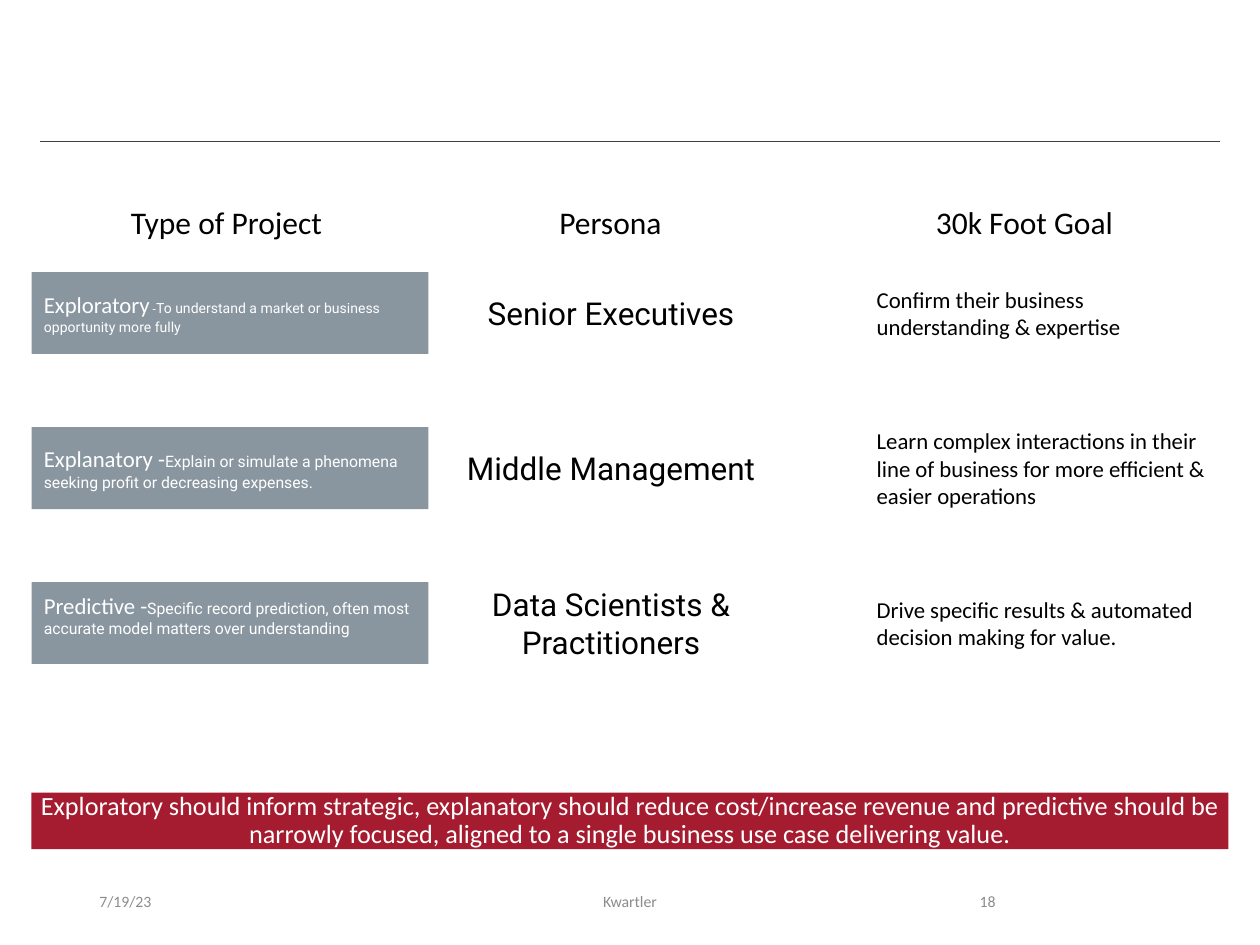
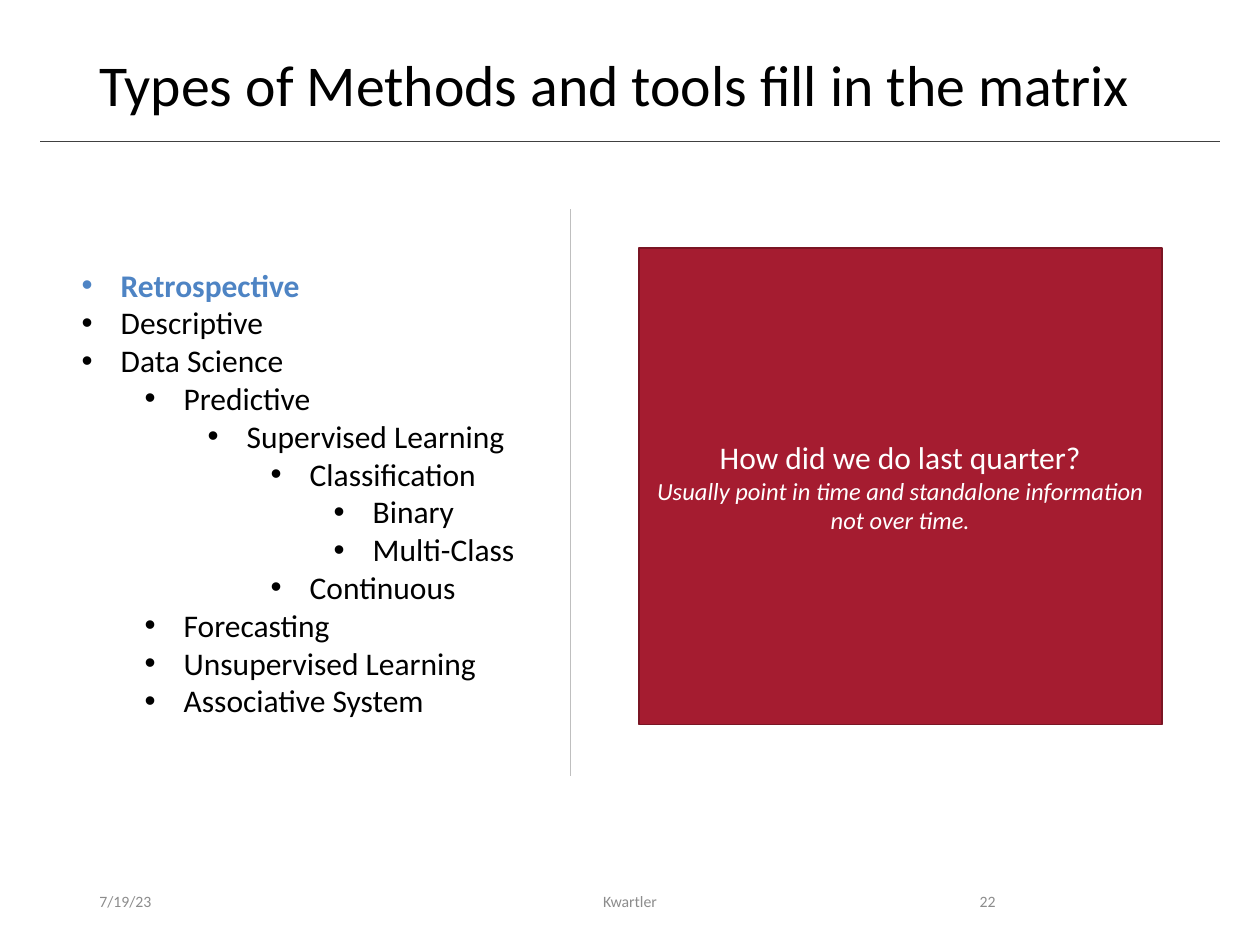
from lxml.etree import SubElement
from pptx import Presentation
from pptx.dml.color import RGBColor
from pptx.enum.shapes import MSO_CONNECTOR, MSO_SHAPE
from pptx.enum.text import MSO_ANCHOR, MSO_AUTO_SIZE, PP_ALIGN
from pptx.oxml.ns import qn
from pptx.util import Inches, Pt

CRIMSON = RGBColor(0xA5, 0x1C, 0x30)
DARK_CRIMSON = RGBColor(0x7A, 0x15, 0x24)
SLATE = RGBColor(0x89, 0x96, 0xA0)
BLUE = RGBColor(0x4E, 0x84, 0xC4)
BLACK = RGBColor(0, 0, 0)
WHITE = RGBColor(0xFF, 0xFF, 0xFF)
RULE_GREY = RGBColor(0x40, 0x40, 0x40)
DIVIDER_GREY = RGBColor(0xBF, 0xBF, 0xBF)
FOOTER_GREY = RGBColor(0x8C, 0x8C, 0x8C)
BODY, ACCENT = "Calibri", "Roboto"
TEXT_INSETS = (0.1, 0.05, 0.1, 0.05)
CELL_INSETS = (0.1, 0.1, 0.1, 0.1)
LEFT, CENTER, RIGHT = PP_ALIGN.LEFT, PP_ALIGN.CENTER, PP_ALIGN.RIGHT
TOP, MIDDLE = MSO_ANCHOR.TOP, MSO_ANCHOR.MIDDLE

HEADINGS = [(0.94, 1.74, "Type of Project"), (4.34, 1.02, "Persona"), (7.33, 1.62, "30k Foot Goal")]
PROJECTS = [
    ([("Exploratory", 13, BODY), (" -", 7, BODY),
      ("To understand a market or business opportunity more fully", 8, ACCENT)],
     "Senior Executives", "Confirm their business understanding & expertise", CELL_INSETS),
    ([("Explanatory -", 13, BODY),
      ("Explain or simulate a phenomena seeking profit or decreasing expenses.", 9, ACCENT)],
     "Middle Management",
     "Learn complex interactions in their line of business for more efficient & easier operations",
     CELL_INSETS),
    ([("Predictive -", 13, BODY),
      ("Specific record prediction, often most accurate model matters over understanding", 9, ACCENT)],
     "Data Scientists & Practitioners",
     "Drive specific results & automated decision making for value.", (0.1, 0.1, 0.1, 0.23)),
]
TAKEAWAY = ("Exploratory should inform strategic, explanatory should reduce cost/increase revenue and "
            "predictive should be narrowly focused, aligned to a single business use case delivering value.")
METHODS = [
    (0, "Retrospective"), (0, "Descriptive"), (0, "Data Science"), (1, "Predictive"),
    (2, "Supervised Learning"), (3, "Classification"), (4, "Binary"), (4, "Multi-Class"),
    (3, "Continuous"), (1, "Forecasting"), (1, "Unsupervised Learning"), (1, "Associative System"),
]


class Deck:
    """Holds the shared style and the page being built."""

    def __init__(self):
        self.deck = Presentation()
        self.deck.slide_width, self.deck.slide_height = Inches(10), Inches(7.5)
        self.page = None

    def add_page(self, number):
        self.page = self.deck.slides.add_slide(self.deck.slide_layouts[6])
        self.line(0.32, 1.12, 9.68, 1.12, RULE_GREY)
        for left, width, words, align in [(0.69, 2.25, "7/19/23", LEFT), (3.31, 3.38, "Kwartler", CENTER),
                                          (7.06, 0.94, number, RIGHT)]:
            self.text((left, 6.95, width, 0.4), words, 9, FOOTER_GREY, align=align, anchor=MIDDLE)

    def line(self, x1, y1, x2, y2, color):
        line = self.page.shapes.add_connector(
            MSO_CONNECTOR.STRAIGHT, Inches(x1), Inches(y1), Inches(x2), Inches(y2))
        line.line.color.rgb = color
        line.line.width = Pt(0.5)
        SubElement(line._element.spPr, qn("a:effectLst"))

    def text(self, place, words, size, color=BLACK, font=BODY, align=LEFT, anchor=TOP,
             insets=TEXT_INSETS, wrap=True, spacing=None):
        box = self.page.shapes.add_textbox(*map(Inches, place))
        self.frame(box, anchor, insets, wrap)
        self.paragraph(box, [(words, size, font)], color, align, spacing)

    def rectangle(self, place, fill, outline=None, insets=TEXT_INSETS):
        box = self.page.shapes.add_shape(MSO_SHAPE.RECTANGLE, *map(Inches, place))
        box.shadow.inherit = False
        box.fill.solid()
        box.fill.fore_color.rgb = fill
        if outline is None:
            box.line.fill.background()
        else:
            box.line.color.rgb = outline
            box.line.width = Pt(1)
        self.frame(box, MIDDLE, insets)
        return box

    def frame(self, box, anchor, insets, wrap=True):
        frame = box.text_frame
        frame.word_wrap = wrap
        frame.auto_size = MSO_AUTO_SIZE.NONE if wrap else MSO_AUTO_SIZE.SHAPE_TO_FIT_TEXT
        frame.vertical_anchor = anchor
        frame.margin_left, frame.margin_top, frame.margin_right, frame.margin_bottom = map(Inches, insets)

    def paragraph(self, box, runs, color, align=LEFT, spacing=None, bold=False, italic=False):
        paras = box.text_frame.paragraphs
        para = box.text_frame.add_paragraph() if paras[-1].runs else paras[0]
        para.alignment = align
        if spacing:
            para.line_spacing = spacing
        for words, size, font in runs:
            span = para.add_run()
            span.text = words
            span.font.size, span.font.name = Pt(size), font
            span.font.color.rgb = color
            span.font.bold, span.font.italic = bold, italic
        return para

    def bullets(self, place, items, current):
        box = self.page.shapes.add_textbox(*map(Inches, place))
        self.frame(box, TOP, TEXT_INSETS, wrap=False)
        for level, words in items:
            chosen = words == current
            para = self.paragraph(box, [(words, 18, BODY)], BLUE if chosen else BLACK, bold=chosen)
            para.level = level
            properties = para._p.get_or_add_pPr()
            properties.set("marL", str(Inches(0.31 + 0.5 * level)))
            properties.set("indent", str(Inches(-0.31)))
            SubElement(properties, qn("a:buFont"), typeface="Arial")
            SubElement(properties, qn("a:buChar"), char="•")


def add_personas(deck):
    deck.add_page("18")
    for left, width, words in HEADINGS:
        deck.text((left, 1.56, width, 0.4), words, 18, wrap=False)
    for row, (project, persona, goal, insets) in enumerate(PROJECTS):
        top = 2.16 + 1.23 * row
        box = deck.rectangle((0.25, top, 3.15, 0.65), SLATE, insets=insets)
        deck.paragraph(box, project, WHITE)
        deck.text((3.43, top, 2.84, 0.65), persona, 18, font=ACCENT, align=CENTER,
                  anchor=MIDDLE, insets=CELL_INSETS)
        deck.text((6.86, top, 2.84, 0.65), goal, 13, anchor=MIDDLE, insets=CELL_INSETS)
    band = deck.rectangle((0.25, 6.29, 9.5, 0.45), CRIMSON, insets=(0.07, 0.04, 0.07, 0.04))
    deck.paragraph(band, [(TAKEAWAY, 15, BODY)], WHITE, CENTER, spacing=0.9)


def add_methods(deck):
    deck.add_page("22")
    deck.text((0.69, 0.4, 8.62, 0.65), "Types of Methods and tools fill in the matrix", 33, spacing=0.9)
    panel = deck.rectangle((5.07, 1.97, 4.15, 3.78), CRIMSON, DARK_CRIMSON)
    deck.paragraph(panel, [("How did we do last quarter?", 18, BODY)], WHITE, CENTER)
    deck.paragraph(panel, [("Usually point in time and standalone information not over time.", 14, BODY)],
                   WHITE, CENTER, italic=True)
    deck.bullets((0.55, 2.06, 3.67, 4.04), METHODS, "Retrospective")
    deck.line(4.53, 1.66, 4.53, 6.16, DIVIDER_GREY)


def main():
    deck = Deck()
    add_personas(deck)
    add_methods(deck)
    deck.deck.save("out.pptx")


if __name__ == "__main__":
    main()
